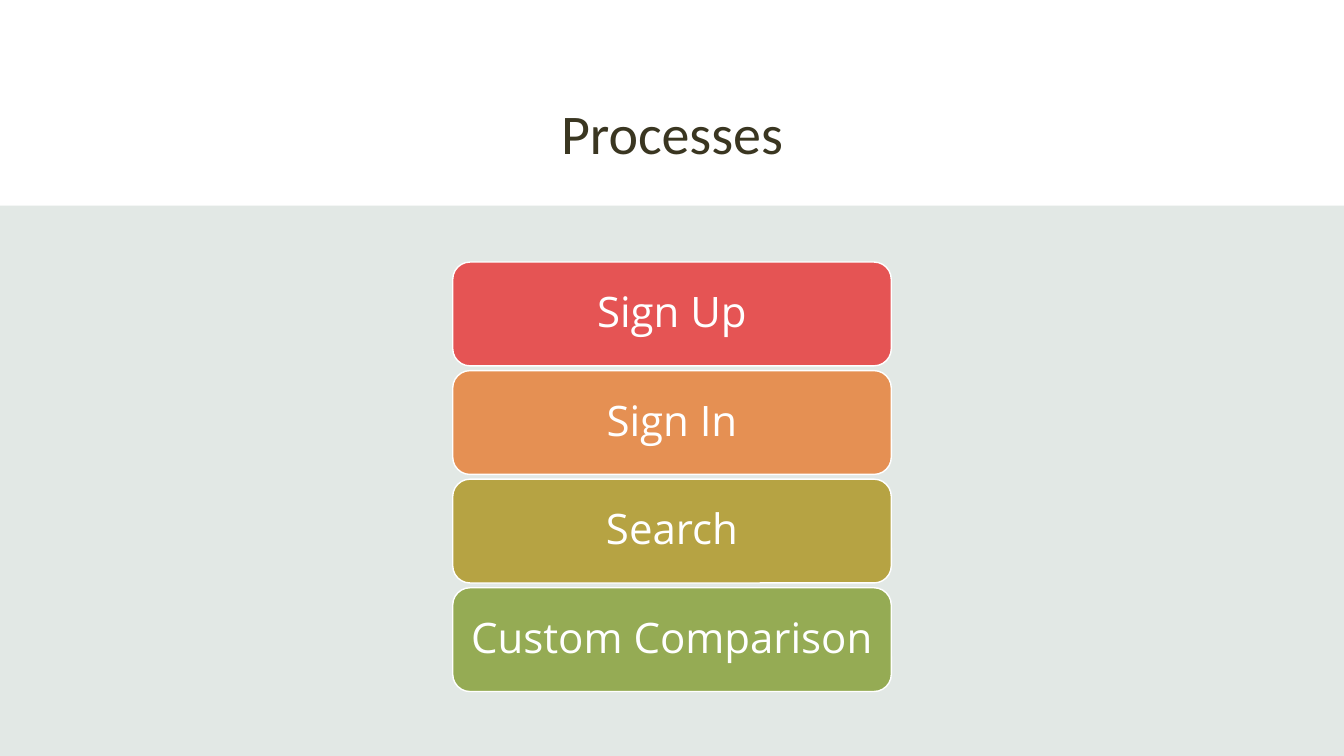
from pptx import Presentation
from pptx.dml.color import RGBColor
from pptx.enum.shapes import MSO_SHAPE
from pptx.enum.text import MSO_ANCHOR, PP_ALIGN
from pptx.util import Inches, Pt

RECT, ROUNDED = MSO_SHAPE.RECTANGLE, MSO_SHAPE.ROUNDED_RECTANGLE
MIDDLE, CENTER = MSO_ANCHOR.MIDDLE, PP_ALIGN.CENTER

WIDTH, HEIGHT = 13.33, 7.5
BAND_TOP = 2.04
BOX_WIDTH, BOX_HEIGHT = 4.35, 1.03
FIRST_ROW, ROW_STEP = 2.6, 1.077
WHITE = "FFFFFF"
PROCESSES = [("Sign Up", "E55454"), ("Sign In", "E59053"),
             ("Search", "B6A343"), ("Custom Comparison", "95AB54")]


def rgb(value):
    """Turn a hex string into a colour."""
    return RGBColor.from_string(value)


def write(sp, text, size, font, color, spacing=1.0):
    """Put one centred line of text in the middle of a shape."""
    tf = sp.text_frame
    frame = {"word_wrap": True, "vertical_anchor": MIDDLE,
             "margin_left": Inches(0.1), "margin_right": Inches(0.1),
             "margin_top": Inches(0.06), "margin_bottom": Inches(0.06)}
    for name, value in frame.items():
        setattr(tf, name, value)
    p = tf.paragraphs[0]
    p.alignment, p.line_spacing = CENTER, spacing
    r = p.add_run()
    r.text = text
    for name, value in {"size": Pt(size), "name": font}.items():
        setattr(r.font, name, value)
    r.font.color.rgb = rgb(color)


prs = Presentation()
prs.slide_width, prs.slide_height = Inches(WIDTH), Inches(HEIGHT)
s = prs.slides.add_slide(prs.slide_layouts[6])
s.background.fill.solid()
s.background.fill.fore_color.rgb = rgb(WHITE)

# Title
title_width = 10.22
title = s.shapes.add_textbox(Inches((WIDTH - title_width) / 2), Inches(0.77),
                             Inches(title_width), Inches(1.09))
write(title, "Processes", 40, "Calibri", "3A3621")

# Band behind the processes
band = s.shapes.add_shape(RECT, 0, Inches(BAND_TOP),
                          Inches(WIDTH), Inches(HEIGHT - BAND_TOP))
band.shadow.inherit = False
band.fill.solid()
band.fill.fore_color.rgb = rgb("E2E8E5")
band.line.fill.background()

# Stack of processes, centred across the slide
for row, (label, color) in enumerate(PROCESSES):
    box = s.shapes.add_shape(ROUNDED, Inches((WIDTH - BOX_WIDTH) / 2),
                             Inches(FIRST_ROW + row * ROW_STEP),
                             Inches(BOX_WIDTH), Inches(BOX_HEIGHT))
    box.shadow.inherit = False
    box.fill.solid()
    box.fill.fore_color.rgb = rgb(color)
    box.line.color.rgb = rgb(WHITE)
    box.line.width = Pt(1)
    write(box, label, 30, "Open Sans", WHITE, spacing=0.9)

prs.save("out.pptx")
